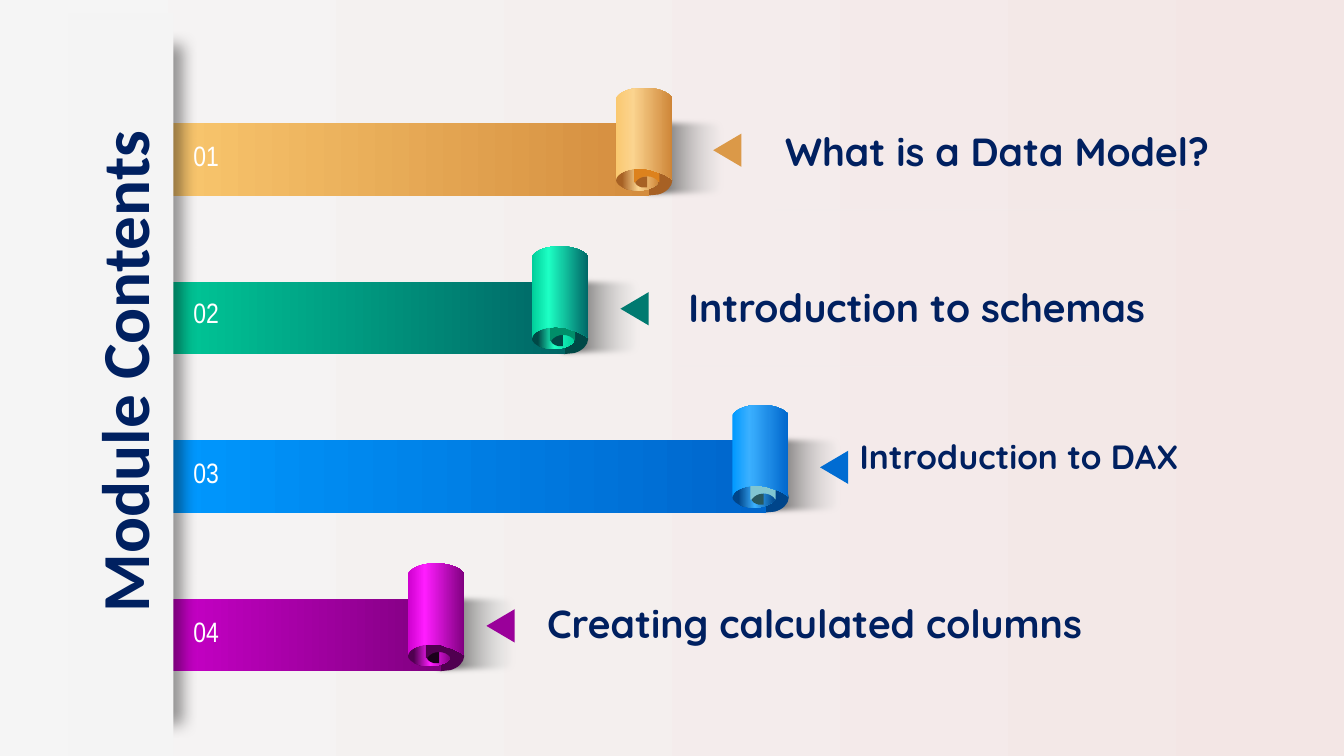
from dataclasses import dataclass

import lxml.etree
import pptx
import pptx.dml.color
import pptx.enum.shapes
import pptx.enum.text
import pptx.oxml.ns
import pptx.util

CELL = pptx.util.Inches(0.1)
COLS, ROWS = 133.33, 75
FIRST_ROW, ROW_STEP = 12.2, 15.73
BAR_LEFT, BAR_HEIGHT, BAR_OVERLAP = 15.1, 7.2, 3.3
A = pptx.oxml.ns.qn("a:gs")[:-2]

COLOURS = {
    "bg start": "F5F5F5", "bg end": "F3E6E5", "panel": "F4F4F4",
    "shade": "000000", "fade": "E9EBEA", "navy": "002060",
    "white": "FFFFFF", "rule": "F2F2F2",
    "gold start": "FAC86F", "gold end": "D48D3E", "gold light": "FBD48F",
    "gold dark": "A76124", "gold rim": "CE8537", "gold tail": "CE8537",
    "gold eye": "A76124", "gold core": "DD821D", "gold arrow": "DB9948",
    "teal start": "00CC99", "teal end": "006666", "teal light": "1DFFC4",
    "teal dark": "004846", "teal rim": "00CC99", "teal tail": "006666",
    "teal eye": "004846", "teal core": "008E69", "teal arrow": "007A70",
    "blue start": "0099FF", "blue end": "0066CC", "blue light": "3BB0FF",
    "blue dark": "00458A", "blue rim": "00458A", "blue tail": "0066CC",
    "blue eye": "28585E", "blue core": "81C6D1", "blue arrow": "006CD2",
    "plum start": "CC00CC", "plum end": "800080", "plum light": "FF1DFF",
    "plum dark": "500050", "plum rim": "800080", "plum tail": "800080",
    "plum eye": "1A001A", "plum core": "500050", "plum arrow": "9A009A",
}


@dataclass(frozen=True)
class Ribbon:
    hue: str
    caption: str
    roll: float
    arrow: float
    number_drop: float
    text_left: float
    text_drop: float
    text_width: float
    size: int = 28
    rule_drop: float | None = None


RIBBONS = [
    Ribbon("gold", "What is a Data Model?", 61.1, 70.5, 1.1, 76.9, -0.05, 46, rule_drop=8.6),
    Ribbon("teal", "Introduction to schemas", 52.75, 61.3, 0.9, 67.3, -0.3, 49.5, rule_drop=8.4),
    Ribbon("blue", "Introduction to DAX", 72.65, 81.1, 1, 84.3, -0.9, 56.3, 24),
    Ribbon("plum", "Creating calculated columns", 40.45, 48, 1.1, 53.3, -0.4, 60),
]

Point = tuple[float, float]
Outline = list[tuple[Point, ...]]

CURL: Outline = [
    ((5.6, 5.7),), ((5.6, 6.3), (5, 6.9), (4.2, 7.1)), ((3.2, 7.2),),
    ((3.2, 4.1),), ((4.2, 4.2),), ((5, 4.5), (5.6, 5), (5.6, 5.7)),
]
EYE: Outline = [
    ((1.9, 5.8),), ((1.9, 6.1), (2.2, 6.3), (2.6, 6.4)), ((3.1, 6.4),),
    ((3.1, 5.3),), ((2.6, 5.3),), ((2.2, 5.4), (1.9, 5.6), (1.9, 5.8)),
]
CORE: Outline = [
    ((1.8, 1.6),), ((2, 1.25), (2.5, 1.08), (3.05, 1.08)),
    ((3.6, 1.08), (4.1, 1.25), (4.3, 1.6)), ((4.3, 5.9),),
    ((4, 5.5), (3.6, 5.3), (3.1, 5.3)), ((2.6, 5.3), (2.2, 5.5), (1.9, 5.9)),
    ((1.8, 5.9),),
]
ROLL: Outline = [
    ((2.8, -3.5),), ((3.9, -3.5), (5.1, -3.2), (5.6, -2.5)), ((5.6, 5.6),),
    ((5.2, 5.3), (4.8, 5.1), (4.3, 4.9)), ((3.9, 4.8),), ((3.4, 4.6),),
    ((3.1, 4.6), (2.8, 4.5), (2.4, 4.5)), ((1.3, 4.5), (0.3, 4.9), (0.1, 5.4)),
    ((0, 5.7),), ((0, -2.5),), ((0.5, -3.2), (1.6, -3.5), (2.8, -3.5)),
]


def cells(*values: float) -> list[pptx.util.Emu]:
    return [pptx.util.Emu(round(v * CELL)) for v in values]


def rgb(name: str) -> pptx.dml.color.RGBColor:
    return pptx.dml.color.RGBColor.from_string(COLOURS[name])


def add_colour(parent, name: str, alpha: int = 100) -> None:
    clr = lxml.etree.SubElement(parent, A + "srgbClr", val=COLOURS[name])
    if alpha < 100:
        lxml.etree.SubElement(clr, A + "alpha", val=str(alpha * 1000))


def set_gradient(fill, element, *stops: tuple) -> None:
    fill.gradient()
    fill.gradient_angle = 0
    gs_list = next(element.iter(A + "gsLst"))
    for gs in list(gs_list):
        gs_list.remove(gs)
    for position, name, *alpha in stops:
        gs = lxml.etree.SubElement(gs_list, A + "gs", pos=str(position * 1000))
        add_colour(gs, name, *alpha)


def paint(sp, *stops) -> None:
    sp.shadow.inherit = False
    sp.line.fill.background()
    if isinstance(stops[0], str):
        sp.fill.solid()
        sp.fill.fore_color.rgb = rgb(stops[0])
    else:
        set_gradient(sp.fill, sp.element, *stops)


def add_preset(shapes, kind: str, box: tuple, *stops):
    sp = shapes.add_shape(getattr(pptx.enum.shapes.MSO_SHAPE, kind), *cells(*box))
    paint(sp, *stops)
    return sp


def add_effect(sp, tag: str, **attributes: str):
    effects = next(sp.element.iter(A + "effectLst"))
    return lxml.etree.SubElement(effects, A + tag, **attributes)


def add_outline(shapes, outline: Outline, left: float, top: float, *stops) -> None:
    placed = [[cells(left + x, top + y) for x, y in segment] for segment in outline]
    ends = [segment[-1] for segment in placed]
    builder = shapes.build_freeform(*ends[0], scale=1.0)
    builder.add_line_segments(ends[1:], close=True)
    sp = builder.convert_to_shape()
    x0, y0 = (min(axis) for axis in zip(*ends))
    for line, segment in zip(list(sp.element.iter(A + "lnTo")), placed[1:]):
        if len(segment) == 3:
            curve = lxml.etree.Element(A + "cubicBezTo")
            for x, y in segment:
                lxml.etree.SubElement(curve, A + "pt", x=str(x - x0), y=str(y - y0))
            line.getparent().replace(line, curve)
    paint(sp, *stops)


def write(sp, text: str, font: str, size: int, colour: str, bold: bool = False) -> None:
    tf = sp.text_frame
    tf.word_wrap = True
    tf.auto_size = pptx.enum.text.MSO_AUTO_SIZE.SHAPE_TO_FIT_TEXT
    p = tf.paragraphs[0]
    p.text = text
    p.font.name, p.font.size, p.font.bold = font, pptx.util.Pt(size), bold
    p.font.color.rgb = rgb(colour)


def draw_ribbon(s, ribbon: Ribbon, top: float) -> None:
    shapes = s.shapes.add_group_shape().shapes
    hue, left = ribbon.hue, ribbon.roll
    shade = add_preset(shapes, "RECTANGLE", (left + 2.1, top - 0.8, 9.3, 8.6),
                       (0, "shade"), (100, "fade", 0))
    add_effect(shade, "softEdge", rad="63500")
    add_outline(shapes, CURL, left, top, f"{hue} dark")
    add_preset(shapes, "RECTANGLE", (BAR_LEFT, top, left + BAR_OVERLAP - BAR_LEFT, BAR_HEIGHT),
               (0, f"{hue} start"), (100, f"{hue} end"))
    add_preset(shapes, "OVAL", (left, top + 4.5, 4.3, 2.2),
               (14, f"{hue} dark"), (52, f"{hue} light"), (100, f"{hue} rim"))
    add_outline(shapes, EYE, left, top, f"{hue} eye")
    add_outline(shapes, CORE, left, top, f"{hue} core")
    add_outline(shapes, ROLL, left, top,
                (0, f"{hue} start"), (30, f"{hue} light"), (100, f"{hue} tail"))


def draw_panel(s) -> None:
    edge = add_preset(s.shapes, "RECTANGLE", (11.6, 4.5, 5.5, 67.2), "panel")
    shadow = add_effect(edge, "outerShdw", blurRad=str(pptx.util.Pt(11)),
                        dist=str(pptx.util.Pt(7)), dir="0", algn="l", rotWithShape="0")
    add_colour(shadow, "shade", 40)
    add_preset(s.shapes, "RECTANGLE", (6.8, 1.3, 10.4, 73.7), "panel")


def draw_label(s, ribbon: Ribbon, number: int, top: float) -> None:
    tb = s.shapes.add_textbox(*cells(18.2, top + ribbon.number_drop, 5.5, 4.4))
    write(tb, f"{number:02}", "Arial Narrow", 20, "white")
    arrow = add_preset(s.shapes, "ISOSCELES_TRIANGLE", (ribbon.arrow, top + 1.3, 3.3, 2.8),
                       f"{ribbon.hue} arrow")
    arrow.rotation = 270
    left = ribbon.text_left
    tb = s.shapes.add_textbox(*cells(left, top + ribbon.text_drop, ribbon.text_width, 5.7))
    write(tb, ribbon.caption, "Quicksand", ribbon.size, "navy", True)
    if ribbon.rule_drop is not None:
        y = top + ribbon.rule_drop
        line = s.shapes.add_connector(pptx.enum.shapes.MSO_CONNECTOR.STRAIGHT,
                                      *cells(left, y, left + 41.1, y))
        line.line.width = pptx.util.Pt(0.5)
        line.line.color.rgb = rgb("rule")
        clr = next(line.element.iter(A + "srgbClr"))
        lxml.etree.SubElement(clr, A + "alpha", val="30000")
        lxml.etree.SubElement(line.element.spPr, A + "effectLst")


def draw_title(s) -> None:
    title = s.shapes.title
    title.left, title.top, title.width, title.height = cells(-24.7, 32.3, 73.7, 9.1)
    title.rotation = 270
    write(title, "Module Contents", "Calibri", 48, "navy", True)
    title.text_frame.vertical_anchor = pptx.enum.text.MSO_ANCHOR.MIDDLE
    title.text_frame.paragraphs[0].alignment = pptx.enum.text.PP_ALIGN.CENTER
    s.shapes.element.append(title.element)


def main() -> None:
    prs = pptx.Presentation()
    prs.slide_width, prs.slide_height = cells(COLS, ROWS)
    s = prs.slides.add_slide(prs.slide_layouts.get_by_name("Title Only"))
    set_gradient(s.background.fill, s.element, (0, "bg start"), (100, "bg end"))
    tops = [FIRST_ROW + i * ROW_STEP for i in range(len(RIBBONS))]
    for ribbon, top in zip(RIBBONS, tops):
        draw_ribbon(s, ribbon, top)
    draw_panel(s)
    for number, (ribbon, top) in enumerate(zip(RIBBONS, tops), 1):
        draw_label(s, ribbon, number, top)
    draw_title(s)
    prs.save("out.pptx")


if __name__ == "__main__":
    main()
